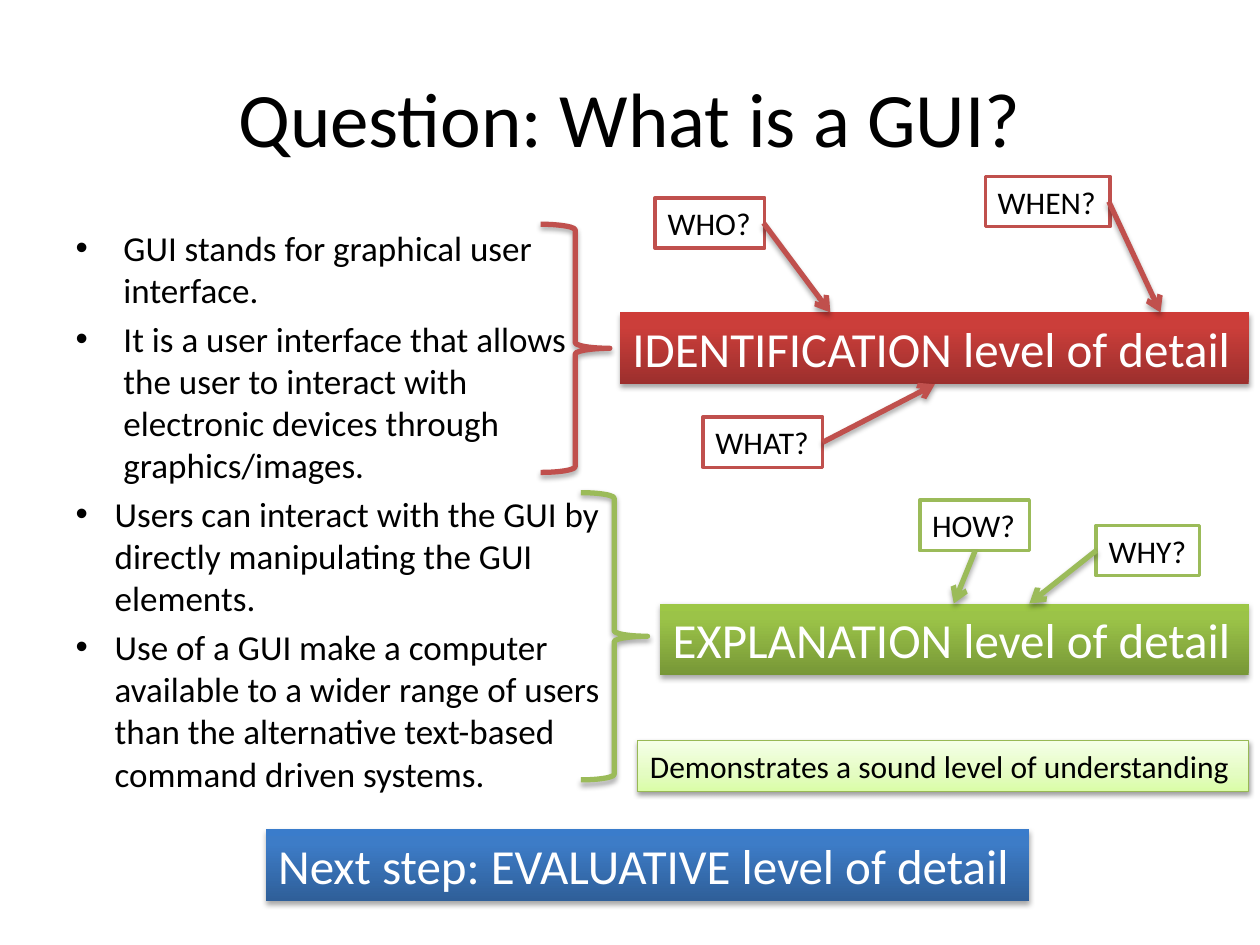
import pptx
import pptx.util
import pptx.dml.color
import pptx.enum.shapes
import pptx.enum.text
import pptx.oxml
import pptx.oxml.ns
from dataclasses import dataclass

Inches, Pt = pptx.util.Inches, pptx.util.Pt
RGB = pptx.dml.color.RGBColor.from_string
SHAPE = pptx.enum.shapes.MSO_SHAPE
TEXT = pptx.enum.text
NS = pptx.oxml.ns.nsdecls("a")


@dataclass(frozen=True)
class Theme:
    font: str = "Calibri"
    black: str = "000000"
    white: str = "FFFFFF"
    red: str = "C0504D"
    green: str = "9BBB59"
    pale_edge: str = "98B955"
    # Gradients run from the bottom edge to the top: (percent, colour)
    red_fill: tuple = ((0, "9C2F2D"), (80, "CB3E3A"), (100, "CE3B37"))
    green_fill: tuple = ((0, "779737"), (80, "9BC348"), (100, "9DC746"))
    blue_fill: tuple = ((0, "2F5F99"), (80, "3D7CC7"), (100, "3A7CCB"))
    pale_fill: tuple = ((0, "DAFDA7"), (35, "E4FCC2"), (100, "F5FFE7"))
    title: int = 44
    body: int = 20
    banner: int = 28
    label: int = 18


T = Theme()


# Formatting helpers
def add_run(p, text, size, color=T.black):
    r = p.add_run()
    r.text = text
    r.font.name = T.font
    r.font.size = Pt(size)
    r.font.color.rgb = RGB(color)


def set_line(shape, color, width):
    shape.line.color.rgb = RGB(color)
    shape.line.width = Pt(width)


def set_gradient(shape, stops):
    shape.fill.solid()
    shape.fill.fore_color.rgb = RGB(stops[0][1])
    gs = "".join(f'<a:gs pos="{pos * 1000}"><a:srgbClr val="{color}"/></a:gs>'
                 for pos, color in stops)
    xml = (f'<a:gradFill {NS} rotWithShape="1"><a:gsLst>{gs}</a:gsLst>'
           '<a:lin ang="16200000" scaled="0"/></a:gradFill>')
    spPr = shape._element.spPr
    spPr.replace(spPr.find(pptx.oxml.ns.qn("a:solidFill")), pptx.oxml.parse_xml(xml))


def add_shadow(shape, alpha=35, dist=1.8):
    xml = (f'<a:effectLst {NS}><a:outerShdw blurRad="{Pt(3.1)}" dist="{Pt(dist)}" '
           'dir="5400000" rotWithShape="0"><a:srgbClr val="000000">'
           f'<a:alpha val="{alpha * 1000}"/></a:srgbClr></a:outerShdw></a:effectLst>')
    shape._element.spPr.append(pptx.oxml.parse_xml(xml))


# Slide elements
def add_box(shapes, text, box, size, color):
    sp = shapes.add_shape(SHAPE.RECTANGLE, *map(Inches, box))
    tf = sp.text_frame
    tf.word_wrap = False
    tf.auto_size = TEXT.MSO_AUTO_SIZE.SHAPE_TO_FIT_TEXT
    tf.vertical_anchor = TEXT.MSO_ANCHOR.TOP
    p = tf.paragraphs[0]
    p.alignment = TEXT.PP_ALIGN.LEFT
    add_run(p, text, size, color)
    return sp


def add_banner(s, text, box, stops):
    sp = add_box(s.shapes, text, box, T.banner, T.white)
    set_gradient(sp, stops)
    sp.line.fill.background()
    add_shadow(sp)


def add_note(s, text, box):
    sp = add_box(s.shapes, text, box, T.label, T.black)
    set_gradient(sp, T.pale_fill)
    set_line(sp, T.pale_edge, 0.75)
    add_shadow(sp, 38, 1.6)


def add_brace(s, box, color):
    sp = s.shapes.add_shape(SHAPE.RIGHT_BRACE, *map(Inches, box))
    sp.fill.background()
    set_line(sp, color, 3)
    add_shadow(sp)


def add_question(s, text, left, top, width, start, end, color):
    """A framed question word grouped with its arrow."""
    group = s.shapes.add_group_shape()
    sp = add_box(group.shapes, text, (left, top, width, 0.4), T.label, T.black)
    sp.shadow.inherit = False
    sp.fill.solid()
    sp.fill.fore_color.rgb = RGB(T.white)
    set_line(sp, color, 2)
    arrow = group.shapes.add_connector(pptx.enum.shapes.MSO_CONNECTOR.STRAIGHT,
                                       *map(Inches, start + end))
    set_line(arrow, color, 3)
    arrow.line._get_or_add_ln().append(
        pptx.oxml.parse_xml(f'<a:tailEnd {NS} type="arrow"/>'))
    add_shadow(arrow)


def fill_placeholder(sp, box, items, size):
    """Write (text, hanging indent) items, one paragraph each."""
    sp.left, sp.top, sp.width, sp.height = map(Inches, box)
    tf = sp.text_frame
    tf.word_wrap = True
    tf.auto_size = TEXT.MSO_AUTO_SIZE.NONE
    for i, (text, indent) in enumerate(items):
        p = tf.add_paragraph() if i else tf.paragraphs[0]
        if indent:
            pPr = p._p.get_or_add_pPr()
            pPr.set("marL", str(Inches(indent)))
            pPr.set("indent", str(-Inches(indent)))
        add_run(p, text, size)


def main():
    prs = pptx.Presentation()
    prs.slide_width, prs.slide_height = Inches(10), Inches(7.5)
    s = prs.slides.add_slide(prs.slide_layouts[1])

    # Title and answer
    fill_placeholder(s.shapes.title, (0.5, 0.3, 9, 1.25),
                     [("Question: What is a GUI?", 0)], T.title)
    fill_placeholder(s.placeholders[1], (0.5, 1.75, 4.42, 4.95), [
        ("GUI stands for graphical user interface.", 0.38),
        ("It is a user interface that allows the user to interact with "
         "electronic devices through graphics/images.", 0.38),
        ("Users can interact with the GUI by directly manipulating the GUI "
         "elements.", 0.31),
        ("Use of a GUI make a computer available to a wider range of users "
         "than the alternative text-based command driven systems.", 0.31),
    ], T.body)

    # Levels of detail
    add_banner(s, "IDENTIFICATION level of detail", (4.92, 2.48, 4.99, 0.57), T.red_fill)
    add_brace(s, (4.29, 1.78, 0.55, 1.97), T.red)
    add_banner(s, "EXPLANATION level of detail", (5.24, 4.79, 4.67, 0.57), T.green_fill)
    add_brace(s, (4.61, 3.91, 0.53, 2.28), T.green)
    add_banner(s, "Next step: EVALUATIVE level of detail", (2.11, 6.58, 6.06, 0.57),
               T.blue_fill)
    add_note(s, "Demonstrates a sound level of understanding", (5.06, 5.88, 4.85, 0.4))

    # Questions pointing at the levels
    for question in (
        ("WHAT?", 5.58, 3.31, 0.95, (6.53, 3.51), (7.42, 3.05), T.red),
        ("HOW?", 7.3, 3.97, 0.87, (7.74, 4.37), (7.57, 4.79), T.green),
        ("WHY?", 8.7, 4.17, 0.82, (8.7, 4.37), (8.17, 4.79), T.green),
        ("WHEN?", 7.82, 1.4, 0.99, (8.8, 1.6), (9.21, 2.48), T.red),
        ("WHO?", 5.2, 1.57, 0.87, (6.06, 1.77), (6.59, 2.48), T.red),
    ):
        add_question(s, *question)

    prs.save("out.pptx")


main()
